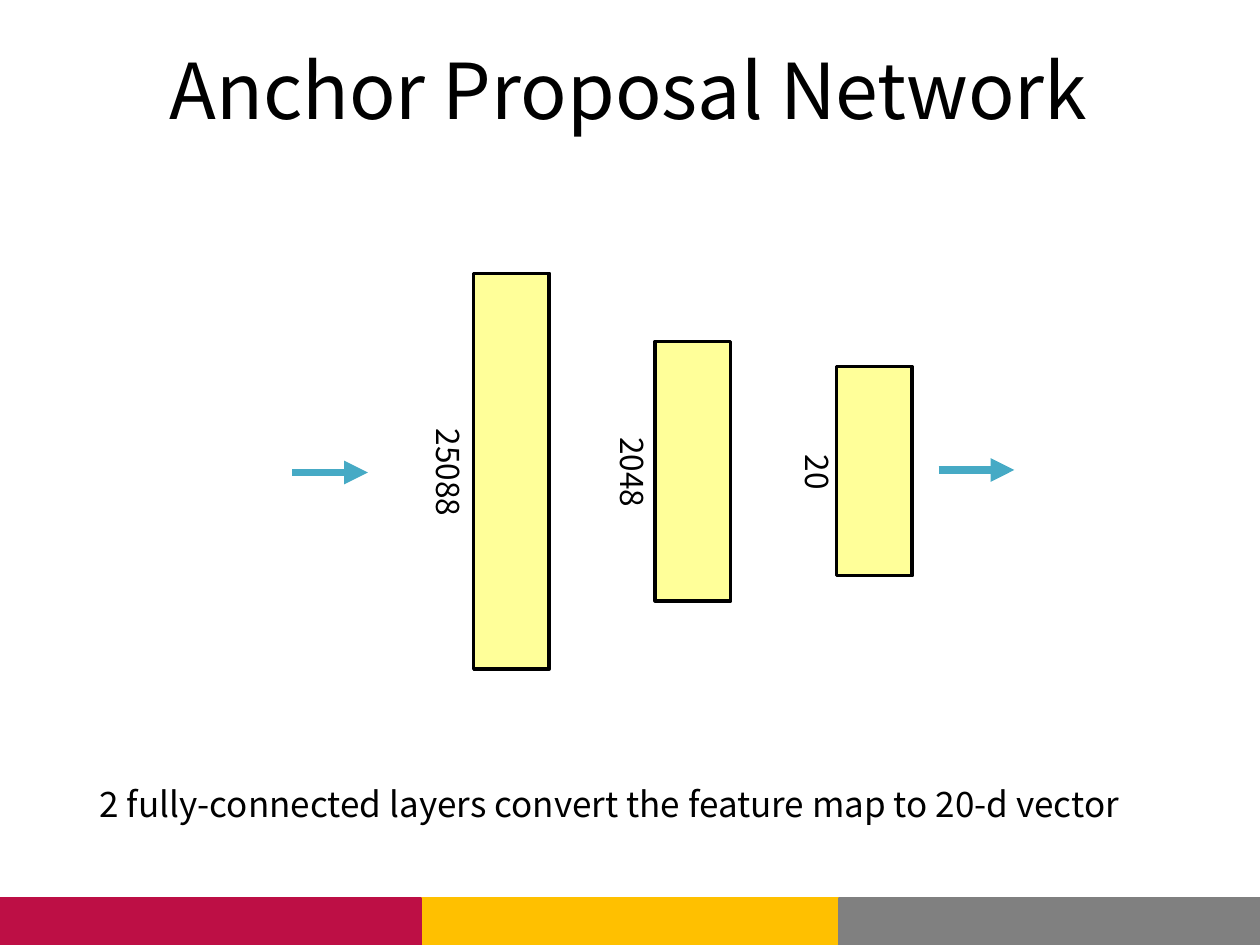
from dataclasses import dataclass

from lxml.etree import SubElement
from pptx import Presentation
from pptx.dml.color import RGBColor
from pptx.enum.shapes import MSO_CONNECTOR as Connector, MSO_SHAPE as Shape
from pptx.enum.text import MSO_ANCHOR as Anchor, MSO_AUTO_SIZE as AutoSize, PP_ALIGN as Align
from pptx.oxml.ns import qn
from pptx.util import Inches, Pt


@dataclass(frozen=True)
class Theme:
    font: str = "Noto Sans CJK KR"
    ink: str = "000000"
    layer: str = "FFFF99"
    arrow: str = "46AAC5"
    red: str = "BD0F45"
    yellow: str = "FFC000"
    grey: str = "808080"
    title_size: int = 44
    body_size: int = 20
    label_size: int = 18
    outline: float = 2
    arrow_width: float = 4.5


THEME = Theme()


def color(value):
    return RGBColor.from_string(value)


def place(shape, left, top, width, height):
    shape.left, shape.top = Inches(left), Inches(top)
    shape.width, shape.height = Inches(width), Inches(height)


def write(shape, text, size, align=Align.LEFT):
    paragraph = shape.text_frame.paragraphs[0]
    paragraph.text = text
    paragraph.alignment = align
    paragraph.font.name = THEME.font
    paragraph.font.size = Pt(size)
    paragraph.font.color.rgb = color(THEME.ink)
    return paragraph


def add_block(slide, left, top, width, height, fill, line):
    shape = slide.shapes.add_shape(
        Shape.RECTANGLE, Inches(left), Inches(top), Inches(width), Inches(height))
    shape.shadow.inherit = False
    shape.fill.solid()
    shape.fill.fore_color.rgb = color(fill)
    shape.line.color.rgb = color(line)
    shape.line.width = Pt(THEME.outline)


def add_arrow(slide, left, middle, length):
    arrow = slide.shapes.add_connector(
        Connector.STRAIGHT, Inches(left), Inches(middle), Inches(left + length), Inches(middle))
    arrow.line.color.rgb = color(THEME.arrow)
    arrow.line.width = Pt(THEME.arrow_width)
    SubElement(arrow.line._get_or_add_ln(), qn("a:tailEnd"), type="triangle")
    SubElement(arrow._element.spPr, qn("a:effectLst"))


def add_label(slide, text, center, middle, width, height=0.44):
    """Text turned a quarter clockwise about its centre."""
    label = slide.shapes.add_textbox(
        Inches(center - width / 2), Inches(middle - height / 2), Inches(width), Inches(height))
    label.rotation = 90
    frame = label.text_frame
    frame.word_wrap = False
    frame.auto_size = AutoSize.NONE
    # No side margins, so that the text has room on one line
    frame.margin_left = frame.margin_right = 0
    write(label, text, THEME.label_size, Align.CENTER)


def add_title(slide, text, box):
    title = slide.shapes.title
    place(title, *box)
    title.text_frame.vertical_anchor = Anchor.MIDDLE
    write(title, text, THEME.title_size, Align.CENTER)


def add_caption(slide, text, box):
    body = slide.placeholders[1]
    place(body, *box)
    body.text_frame.vertical_anchor = Anchor.TOP
    properties = body.text_frame.paragraphs[0]._p.get_or_add_pPr()
    properties.set("marL", "0")
    properties.set("indent", "0")
    SubElement(properties, qn("a:buNone"))
    write(body, text, THEME.body_size).space_before = Pt(0)


def add_footer(slide, left, top, width, height):
    band = width / 3
    # The middle band lies behind its neighbours
    for column, fill in ((1, THEME.yellow), (0, THEME.red), (2, THEME.grey)):
        add_block(slide, left + column * band, top, band, height, fill, fill)


def add_network(slide, left, top, width, height):
    middle = top + height / 2
    bar, pitch, first = 0.6, 1.44, left + 1.44
    # Layer size, bar height, label width, gap from label centre to bar
    layers = (("25088", height, 0.89, 0.22), ("2048", 2.06, 0.76, 0.2), ("20", 1.66, 0.48, 0.17))
    for index, (size, tall, label_width, gap) in enumerate(layers):
        x = first + index * pitch
        add_block(slide, x, middle - tall / 2, bar, tall, THEME.layer, THEME.ink)
        add_label(slide, size, x - gap, middle + 0.01, label_width)
    # Input and output
    add_arrow(slide, left, middle + 0.01, bar)
    add_arrow(slide, left + width - bar, middle - 0.01, bar)


def main():
    presentation = Presentation()
    presentation.slide_width, presentation.slide_height = Inches(10), Inches(7.5)
    slide = presentation.slides.add_slide(presentation.slide_layouts[1])
    add_footer(slide, 0, 7.13, 10, 0.37)
    add_title(slide, "Anchor Proposal Network", (0.49, 0.08, 9, 1.25))
    add_caption(slide, "2 fully-connected layers convert the feature map to 20-d vector",
                (0.69, 6.16, 9.06, 2.31))
    add_network(slide, 2.32, 2.17, 5.73, 3.14)
    presentation.save("out.pptx")


if __name__ == "__main__":
    main()
